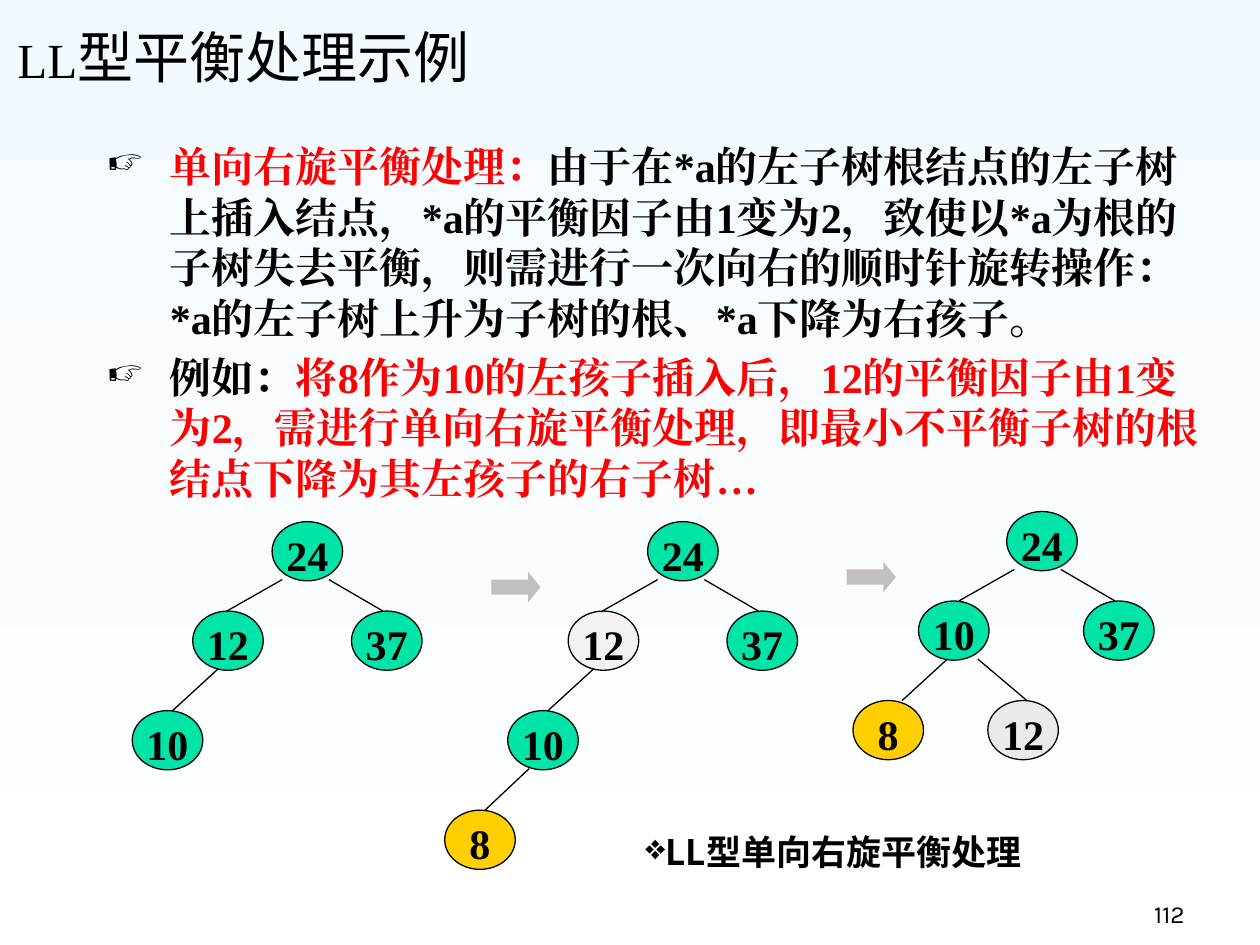
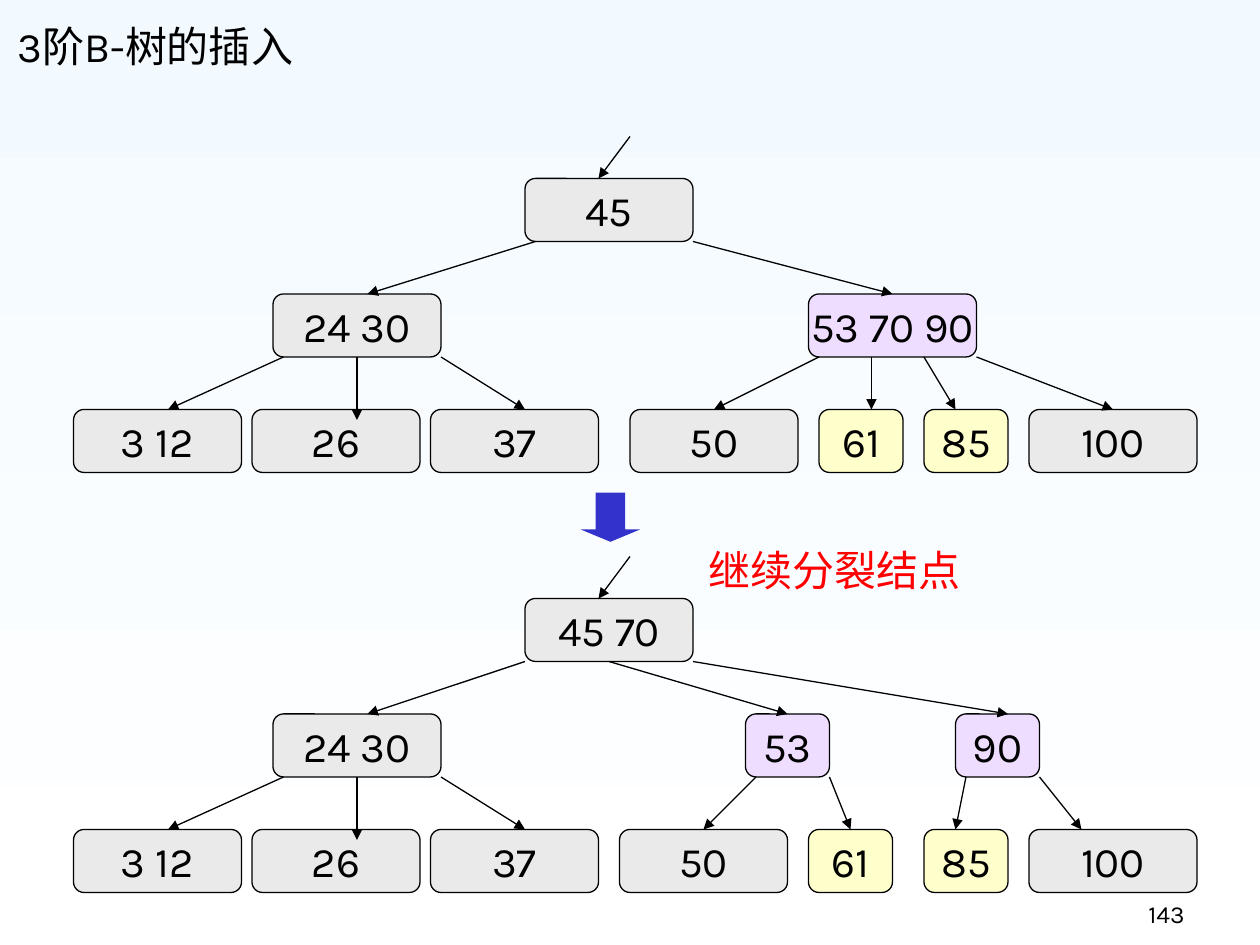
from lxml.etree import SubElement
from pptx import Presentation
from pptx.dml.color import RGBColor
from pptx.enum.shapes import MSO_CONNECTOR, MSO_SHAPE as Preset
from pptx.enum.text import MSO_ANCHOR as Anchor, PP_ALIGN as Align
from pptx.oxml.ns import qn
from pptx.util import Inches, Pt

color = RGBColor.from_string
BLACK, RED, GRAY = "000000", "FF0000", "EAEAEA"
GREEN, GOLD, PALE, SILVER = "00E4A8", "FFCF01", "F2F2F2", "C0C0C0"
PURPLE, YELLOW, BLUE = "EEDDFF", "FFFFCC", "3333CC"
SERIF, SANS, CHINESE = "Times New Roman", "Karla", "Noto Sans CJK SC"


def write(shape, paragraphs, size, font, bold=False, align=Align.LEFT, anchor=Anchor.TOP,
          insets=(0.1, 0.05, 0.1, 0.05), bullet=None, indent=0.0, wrap=True):
    """Fill a shape with paragraphs, each a list of (text, colour) runs."""
    frame = shape.text_frame
    frame.word_wrap = wrap
    frame.vertical_anchor = anchor
    frame.margin_left, frame.margin_top, frame.margin_right, frame.margin_bottom = map(Inches, insets)
    for index, runs in enumerate(paragraphs):
        paragraph = frame.add_paragraph() if index else frame.paragraphs[0]
        paragraph.alignment = align
        if index:
            paragraph.space_before = Pt(5)
        properties = paragraph._p.get_or_add_pPr()
        if bullet:
            properties.set("marL", str(Inches(indent)))
            properties.set("indent", str(-Inches(indent)))
            bullet_color = SubElement(properties, qn("a:buClr"))
            SubElement(bullet_color, qn("a:srgbClr"), val=BLACK)
            SubElement(properties, qn("a:buSzPct"), val="85000" if indent else "100000")
            SubElement(properties, qn("a:buChar"), char=bullet)
        paragraph.font.size = Pt(size)
        paragraph.font.name = font
        paragraph.font.bold = bold
        SubElement(properties.find(qn("a:defRPr")), qn("a:ea"), typeface=font)
        for text, run_color in runs:
            run = paragraph.add_run()
            run.text = text
            run.font.color.rgb = color(run_color)


def draw_line(slide, start, end, arrow=False):
    line = slide.shapes.add_connector(MSO_CONNECTOR.STRAIGHT, *map(int, start + end))
    line.line.color.rgb = color(BLACK)
    line.line.width = Pt(0.75)
    if arrow:
        SubElement(line.line._get_or_add_ln(), qn("a:tailEnd"), type="triangle")
    SubElement(line._element.spPr, qn("a:effectLst"))
    return line


presentation = Presentation()
presentation.slide_width, presentation.slide_height = Inches(10), Inches(7.5)

# Shared background, titles and page numbers
background = presentation.slide_master.background.fill
background.gradient()
background.gradient_angle = 270
for stop, stop_color in zip(background.gradient_stops, ("F3FAFF", "FFFFFF")):
    stop.color.rgb = color(stop_color)

slides, titles = [], []
for title_text, title_height, title_size, title_font, number in [
    ("LL型平衡处理示例", 0.71, 32, CHINESE, "112"),
    ("3阶B-树的插入", 0.56, 24, SANS, "143"),
]:
    slide = presentation.slides.add_slide(presentation.slide_layouts[6])
    title = slide.shapes.add_textbox(Inches(0.04), Inches(0.05), Inches(8.52), Inches(title_height))
    page_number = slide.shapes.add_textbox(Inches(7.42), Inches(6.92), Inches(2.08), Inches(0.5))
    title_runs = [(title_text, BLACK)]
    if title_text.startswith("LL"):
        title_runs = [("LL", BLACK), (title_text[2:], BLACK)]
    write(title, [title_runs], title_size, title_font, anchor=Anchor.BOTTOM)
    write(page_number, [[(number, BLACK)]], 14, SANS, align=Align.RIGHT, anchor=Anchor.BOTTOM)
    slides.append(slide)
    titles.append(title)
rotation_slide, insertion_slide = slides
latin_run = titles[0].text_frame.paragraphs[0].runs[0]
latin_run.font.name, latin_run.font.size = SERIF, Pt(28)

# Slide 1: explanation and caption
explanation = rotation_slide.shapes.add_textbox(Inches(0.75), Inches(1.07), Inches(8.97), Inches(3.23))
write(explanation, [
    [("单向右旋平衡处理：", RED),
     ("由于在*a的左子树根结点的左子树上插入结点，*a的平衡因子由1变为2，致使以*a为根的子树失去平衡，"
      "则需进行一次向右的顺时针旋转操作： *a的左子树上升为子树的根、*a下降为右孩子。", BLACK)],
    [("例如：", BLACK),
     ("将8作为10的左孩子插入后，12的平衡因子由1变为2，需进行单向右旋平衡处理，"
      "即最小不平衡子树的根结点下降为其左孩子的右子树…", RED)],
], 24, SERIF, bold=True, bullet="☞", indent=0.5)

caption = rotation_slide.shapes.add_textbox(Inches(4.84), Inches(6.59), Inches(3.55), Inches(0.42))
caption.fill.solid()
caption.fill.fore_color.rgb = color("FFFFFF")
write(caption, [[("LL型单向右旋平衡处理", BLACK)]], 20, CHINESE, bold=True, align=Align.CENTER,
      insets=(0, 0, 0, 0), bullet="❖")

# Binary trees: nodes are (level, offset from root, key, fill), edges (level, from, to)
NODE_WIDTH, NODE_HEIGHT = 0.56, 0.47
LEVEL_TOPS = (0, 0.71, 1.5, 2.29)
start_edges = [(0, 0.45, 0.88), (0, 0.08, -0.36), (1, -0.43, -0.79)]
binary_trees = [
    (2.16, 4.14,
     [(0, 0, "24", GREEN), (1, 0.63, "37", GREEN), (1, -0.63, "12", GREEN), (2, -1.11, "10", GREEN)],
     start_edges),
    (5.14, 4.14,
     [(0, 0, "24", GREEN), (1, 0.63, "37", GREEN), (1, -0.63, "12", PALE), (2, -1.11, "10", GREEN),
      (3, -1.61, "8", GOLD)],
     start_edges + [(2, -0.94, -1.29)]),
    (7.99, 4.06,
     [(0, 0, "24", GREEN), (1, 0.61, "37", GREEN), (1, -0.7, "10", GREEN), (2, -0.15, "12", GRAY),
      (2, -1.22, "8", GOLD)],
     [(0, 0.43, 0.86), (0, 0.06, -0.38), (1, -0.23, 0.16), (1, -0.47, -0.83)]),
]
for root_left, root_top, nodes, edges in binary_trees:
    for level, offset, key, fill in nodes:
        node = rotation_slide.shapes.add_shape(
            Preset.OVAL, Inches(root_left + offset), Inches(root_top + LEVEL_TOPS[level]),
            Inches(NODE_WIDTH), Inches(NODE_HEIGHT))
        node.shadow.inherit = False
        node.fill.solid()
        node.fill.fore_color.rgb = color(fill)
        node.line.color.rgb = color(BLACK)
        node.line.width = Pt(0.75)
        write(node, [[(key, BLACK)]], 24, SERIF, bold=True, align=Align.CENTER, insets=(0, 0.12, 0, 0))
        node.text_frame.paragraphs[0].line_spacing = 0.64
    for level, start, end in edges:
        draw_line(rotation_slide,
                  (Inches(root_left + start), Inches(root_top + LEVEL_TOPS[level] + NODE_HEIGHT - 0.01)),
                  (Inches(root_left + end), Inches(root_top + LEVEL_TOPS[level + 1])))

# Block arrows of both slides
for slide, preset, left, top, width, height, head, fill in [
    (rotation_slide, Preset.RIGHT_ARROW, 3.9, 4.54, 0.39, 0.24, 0.41, SILVER),
    (rotation_slide, Preset.RIGHT_ARROW, 6.72, 4.46, 0.39, 0.24, 0.41, SILVER),
    (insertion_slide, Preset.DOWN_ARROW, 4.61, 3.91, 0.47, 0.39, 0.25, BLUE),
]:
    block_arrow = slide.shapes.add_shape(preset, *map(Inches, (left, top, width, height)))
    block_arrow.adjustments[1] = head
    block_arrow.shadow.inherit = False
    block_arrow.fill.solid()
    block_arrow.fill.fore_color.rgb = color(fill)
    block_arrow.line.fill.background()

# Slide 2: B-trees on a grid of 120 columns
CELL = presentation.slide_width / 120
BOX_ROWS, LEVEL_ROWS, WIDE, NARROW = 6, 11, 16, 8
shared_boxes = [(1, 26, WIDE, "24 30", GRAY), (2, 7, WIDE, "3 12", GRAY), (2, 24, WIDE, "26", GRAY),
                (2, 41, WIDE, "37", GRAY), (2, 98, WIDE, "100", GRAY), (2, 88, NARROW, "85", YELLOW)]
shared_edges = [(1, 27, 16), (1, 42, 50)]
b_trees = [
    (17, [(0, 50, WIDE, "45", GRAY), (1, 77, WIDE, "53 70 90", PURPLE), (2, 60, WIDE, "50", GRAY),
          (2, 78, NARROW, "61", YELLOW)],
     [(0, 51, 35), (0, 66, 85), (1, 78, 68), (1, 83, 83), (1, 88, 91), (1, 93, 106)]),
    (57, [(0, 50, WIDE, "45 70", GRAY), (1, 71, NARROW, "53", PURPLE), (1, 91, NARROW, "90", PURPLE),
          (2, 59, WIDE, "50", GRAY), (2, 77, NARROW, "61", YELLOW)],
     [(0, 50, 35), (0, 58, 75), (0, 66, 96), (1, 72, 67), (1, 79, 81), (1, 92, 91), (1, 99, 103)]),
]
for root_row, boxes, edges in b_trees:
    box_at_middle = {}
    for level, column, columns, keys, fill in boxes + shared_boxes:
        row = root_row + level * LEVEL_ROWS
        box = insertion_slide.shapes.add_shape(
            Preset.ROUNDED_RECTANGLE, *(int(CELL * cells) for cells in (column, row, columns, BOX_ROWS)))
        box.shadow.inherit = False
        box.fill.solid()
        box.fill.fore_color.rgb = color(fill)
        box.line.color.rgb = color(BLACK)
        box.line.width = Pt(0.75)
        write(box, [[(keys, BLACK)]], 24, SANS, align=Align.CENTER, anchor=Anchor.MIDDLE, wrap=False)
        box_at_middle[level, column + columns // 2] = box
    for level, start, end in edges + shared_edges:
        row = root_row + level * LEVEL_ROWS
        edge = draw_line(insertion_slide, (CELL * start, CELL * (row + BOX_ROWS)),
                         (CELL * end, CELL * (row + LEVEL_ROWS)), arrow=True)
        if (level, start) in box_at_middle:
            edge.begin_connect(box_at_middle[level, start], 2)
        if (level + 1, end) in box_at_middle:
            edge.end_connect(box_at_middle[level + 1, end], 0)
    draw_line(insertion_slide, (CELL * 60, CELL * (root_row - 4)), (CELL * 57, CELL * root_row), arrow=True)
    middle_row = root_row + LEVEL_ROWS + BOX_ROWS
    middle_edge = draw_line(insertion_slide, (CELL * 34, CELL * middle_row),
                            (CELL * 34, CELL * (middle_row + 6)), arrow=True)
    middle_edge.begin_connect(box_at_middle[1, 34], 2)

split_note = insertion_slide.shapes.add_textbox(Inches(5.36), Inches(4.27), Inches(2.53), Inches(0.42))
write(split_note, [[("继续分裂结点", RED)]], 24, SANS, align=Align.CENTER)

presentation.save("out.pptx")
